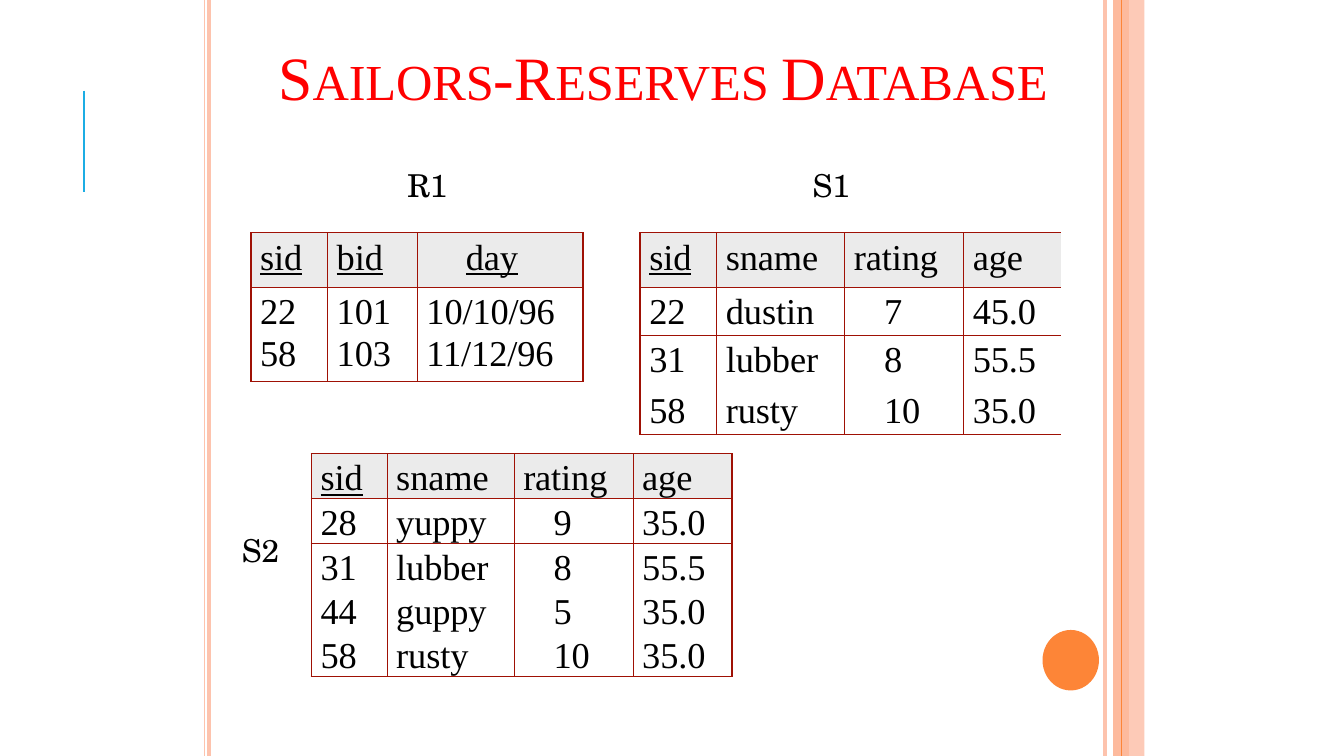
import pptx
import pptx.dml.color
import pptx.enum.shapes
import pptx.enum.text
import pptx.oxml.ns
import pptx.util
from lxml import etree

SCALE = 9144  # EMU per px, 100 px to the inch
SLIDE_WIDTH, SLIDE_HEIGHT = 1333, 750
COLORS = {
    "accent": "1CADE4", "peach": "FDC3AD", "orange": "FD8537", "border": "9F1105",
    "header": "EBEBEB", "text": "000000", "title": "FF0000",
}
SERIF, LABEL = "Times New Roman", "TeX Gyre Schola"
INDENT, RATING_INDENT, DAY_INDENT = 9, 39, 48


def px(value):
    return pptx.util.Emu(value * SCALE)


def rgb(name):
    return pptx.dml.color.RGBColor.from_string(COLORS[name])


def add_element(parent, tag, **attributes):
    return etree.SubElement(parent, pptx.oxml.ns.qn(tag), **attributes)


class SlideBuilder:
    def __init__(self, presentation):
        self.slide = presentation.slides.add_slide(presentation.slide_layouts[6])
        self.shapes = self.slide.shapes

    def line(self, x, top, bottom, color, width):
        connector = self.shapes.add_connector(
            pptx.enum.shapes.MSO_CONNECTOR.STRAIGHT, px(x), px(top), px(x), px(bottom))
        connector.line.color.rgb = rgb(color)
        connector.line.width = pptx.util.Pt(width)
        add_element(connector._element.spPr, "a:effectLst")

    def shape(self, kind, left, top, width, height, color, opacity=100):
        shape = self.shapes.add_shape(kind, px(left), px(top), px(width), px(height))
        shape.shadow.inherit = False
        shape.fill.solid()
        shape.fill.fore_color.rgb = rgb(color)
        shape.line.fill.background()
        if opacity < 100:
            fill_color = shape._element.spPr.find(".//" + pptx.oxml.ns.qn("a:srgbClr"))
            add_element(fill_color, "a:alpha", val=str(opacity * 1000))

    def run(self, paragraph, text, size, font, color="text", underline=False):
        run = paragraph.add_run()
        run.text = text
        run.font.size = pptx.util.Pt(size)
        run.font.name = font
        run.font.color.rgb = rgb(color)
        if underline:
            run.font.underline = True
        run._r.get_or_add_rPr().set("spc", "-10")

    def text(self, left, top, width, height, runs, font, color="text", wrap=False):
        box = self.shapes.add_textbox(px(left), px(top), px(width), px(height))
        frame = box.text_frame
        frame.margin_left = frame.margin_top = px(1)
        frame.margin_right = frame.margin_bottom = 0
        frame.word_wrap = wrap
        frame.vertical_anchor = pptx.enum.text.MSO_ANCHOR.MIDDLE
        for text, size in runs:
            self.run(frame.paragraphs[0], text, size, font, color)

    def borders(self, cell, widths):
        properties = cell._tc.get_or_add_tcPr()
        for side, width in zip("LRTB", widths):
            border = add_element(properties, "a:ln" + side, w=str(pptx.util.Pt(width)))
            if width:
                fill = add_element(border, "a:solidFill")
                add_element(fill, "a:srgbClr", val=COLORS["border"])
            else:
                add_element(border, "a:noFill")

    def cell(self, cell, text, is_header, indent, spacing, underline):
        cell.margin_left = px(indent)
        cell.margin_right = cell.margin_bottom = 0
        cell.margin_top = 0 if spacing else px(4)
        if is_header:
            cell.fill.solid()
            cell.fill.fore_color.rgb = rgb("header")
        else:
            cell.fill.background()
        for index, value in enumerate(text.split("\n")):
            frame = cell.text_frame
            paragraph = frame.add_paragraph() if index else frame.paragraphs[0]
            if index:
                paragraph.space_before = pptx.util.Pt(1.2)
            elif spacing:
                paragraph.line_spacing = pptx.util.Pt(spacing)
            self.run(paragraph, value, 26, SERIF, underline=underline)

    def table(self, left, top, columns, rows, ruled, keys, right_border=1.5):
        """rows: (height, line spacing, texts); ruled: row boundaries with a line."""
        table = self.shapes.add_table(
            len(rows), len(columns), px(left), px(top), px(sum(columns)),
            px(sum(height for height, _, _ in rows))).table
        table.first_row = table.horz_banding = False
        for column, width in zip(table.columns, columns):
            column.width = px(width)
        last = len(columns) - 1
        for r, (height, spacing, texts) in enumerate(rows):
            table.rows[r].height = px(height)
            for c, text in enumerate(texts):
                cell = table.cell(r, c)
                self.borders(cell, (
                    0.75 if c else 1.5,
                    right_border if c == last else 0.75,
                    0.75 if r in ruled else 0,
                    0.75 if r + 1 in ruled else 0))
                heading = rows[0][2][c]
                indent = INDENT
                if r and heading == "rating":
                    indent = RATING_INDENT
                elif text == "day":
                    indent = DAY_INDENT
                self.cell(cell, text, r == 0, indent, spacing, r == 0 and text in keys)


def main():
    presentation = pptx.Presentation()
    presentation.slide_width = px(SLIDE_WIDTH)
    presentation.slide_height = px(SLIDE_HEIGHT)
    builder = SlideBuilder(presentation)
    shapes = pptx.enum.shapes.MSO_SHAPE

    # Side rails and accents
    builder.line(83, 90, 190, "accent", 1.5)
    for x, color, width in [(1096, "peach", 3), (207, "peach", 2.75),
                            (203, "peach", 0.91), (1112, "orange", 11.28)]:
        builder.line(x, 0, SLIDE_HEIGHT, color, width)
    builder.shape(shapes.RECTANGLE, 1104, 0, 31, SLIDE_HEIGHT, "peach", opacity=87)
    builder.line(1112, 0, SLIDE_HEIGHT, "orange", 0.72)
    builder.shape(shapes.OVAL, 1034, 625, 56, 60, "orange")

    # Table labels
    for name, left, top in [("R1", 403, 163), ("S1", 805, 163), ("S2", 239, 526)]:
        builder.text(left, top, 42, 39, [(name, 22.5)], LABEL)

    # Reserves
    builder.table(249, 231, [76, 89, 164], [
        (54, 32.2, ["sid", "bid", "day"]),
        (93, 32.2, ["22\n58", "101\n103", "10/10/96\n11/12/96"]),
    ], ruled={0, 1, 2}, keys={"sid", "bid", "day"})

    # Sailors
    sailor_heading = ["sid", "sname", "rating", "age"]
    builder.table(635, 231, [76, 127, 118, 96], [
        (54, 32.4, sailor_heading),
        (48, 32.4, ["22", "dustin", "7", "45.0"]),
        (49, None, ["31", "lubber", "8", "55.5"]),
        (49, 32.8, ["58", "rusty", "10", "35.0"]),
    ], ruled={0, 1, 2, 4}, keys={"sid"}, right_border=0)
    builder.table(309, 450, [75, 126, 118, 98], [
        (44, 32.2, sailor_heading),
        (44, 32.2, ["28", "yuppy", "9", "35.0"]),
        (43, 31.5, ["31", "lubber", "8", "55.5"]),
        (43, 31.5, ["44", "guppy", "5", "35.0"]),
        (43, 31.5, ["58", "rusty", "10", "35.0"]),
    ], ruled={0, 1, 2, 5}, keys={"sid"})

    # Title
    builder.text(275, 37, 782, 75, [
        ("S", 44), ("AILORS", 36), ("-R", 44), ("ESERVES ", 36), ("D", 44), ("ATABASE", 36),
    ], SERIF, "title", wrap=True)

    presentation.save("out.pptx")


if __name__ == "__main__":
    main()
